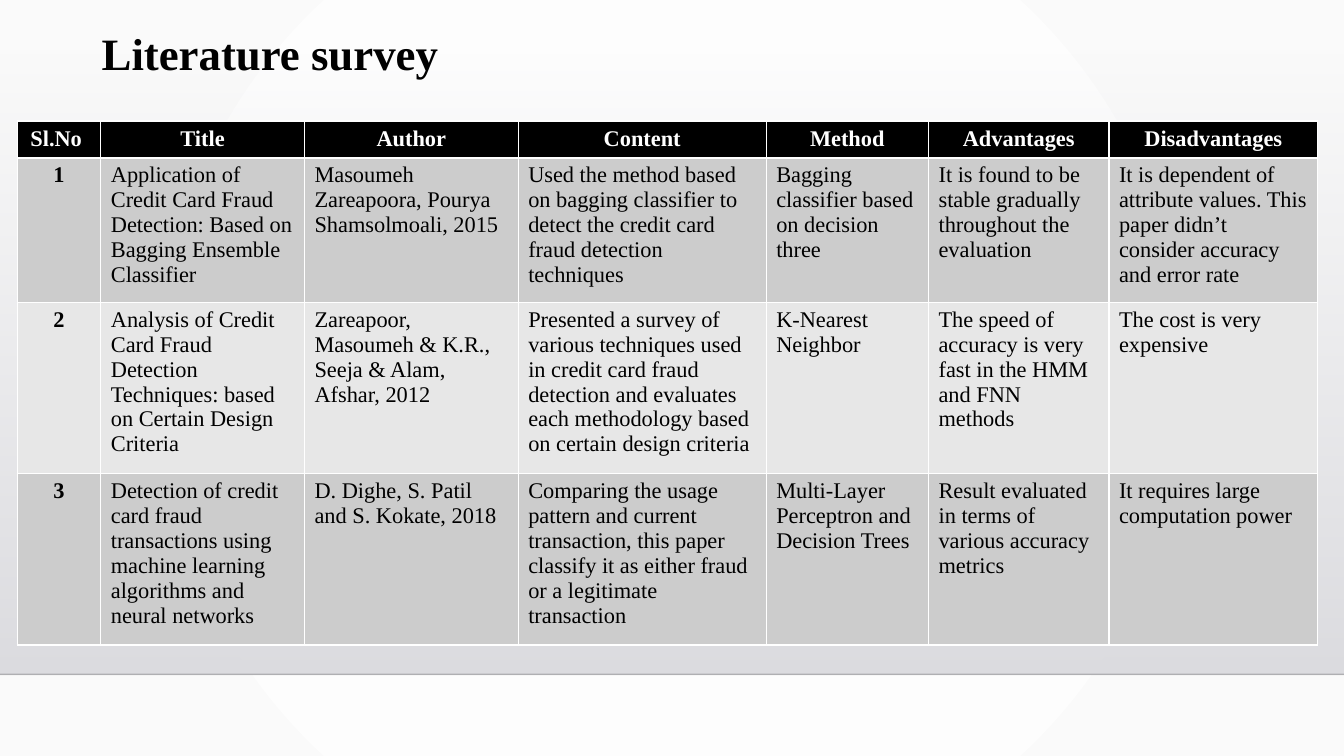
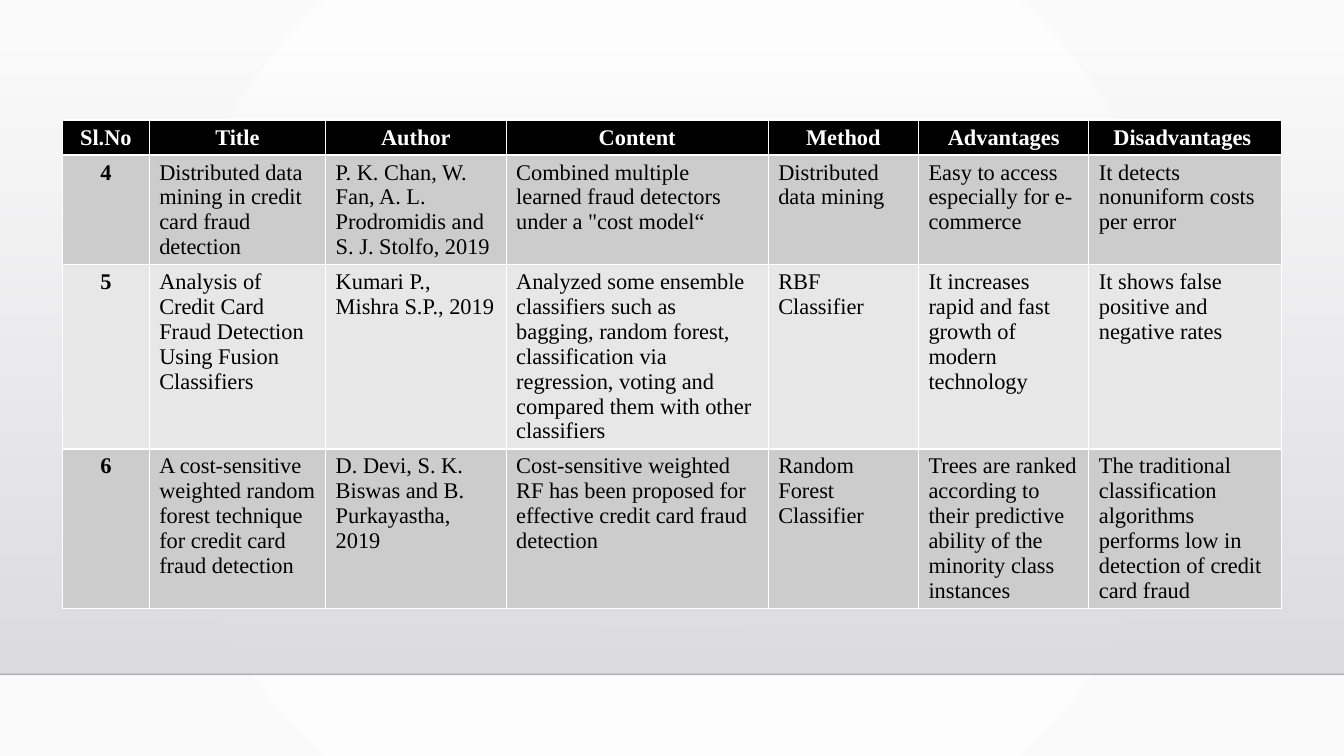
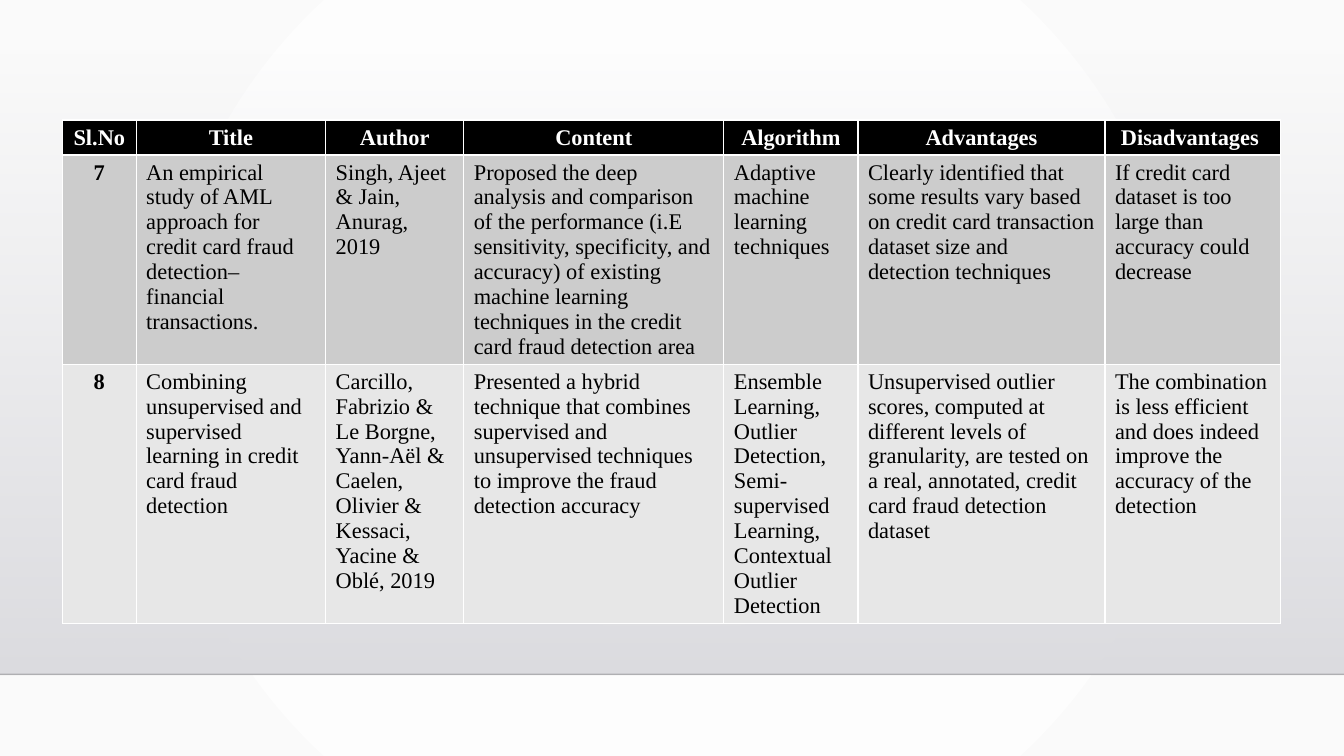
"""Build three literature survey slides on credit card fraud detection."""
from dataclasses import dataclass

from lxml.etree import SubElement
from pptx import Presentation
from pptx.dml.color import RGBColor
from pptx.enum.shapes import MSO_CONNECTOR, MSO_SHAPE
from pptx.enum.text import PP_ALIGN
from pptx.oxml import parse_xml
from pptx.oxml.ns import nsdecls, qn
from pptx.util import Inches, Pt

WIDTH, HEIGHT = 13.33, 7.5
FONT = "Times New Roman"
BLACK, WHITE, PAPER = "000000", "FFFFFF", "FAFAFA"
BAND_TOP, BAND_BOTTOM = "DCDCE0", "DEDEE2"
ROW_FILLS = ("CCCCCC", "E7E7E7")
FLOOR = 0.892
LINE_HEIGHT, CELL_PADDING = 0.247, 0.1


@dataclass(frozen=True)
class Survey:
    left: float
    top: float
    columns: tuple[float, ...]
    lines: tuple[int, ...]
    rows: tuple[tuple[str, ...], ...]
    title: str = ""


SURVEYS = (
    Survey(
        left=0.17,
        top=1.2,
        columns=(0.83, 2.02, 2.12, 2.46, 1.61, 1.79, 2.07),
        lines=(1, 5, 6, 6),
        title="Literature survey",
        rows=(
            ("Sl.No ", "Title", "Author", "Content", "Method", "Advantages", "Disadvantages"),
            (
                "1",
                "Application of Credit Card Fraud Detection: Based on Bagging Ensemble Classifier",
                "Masoumeh Zareapoora, Pourya Shamsolmoali, 2015",
                "Used the method based on bagging classifier to detect the credit card fraud "
                "detection techniques",
                "Bagging classifier based on decision three",
                "It is found to be stable gradually throughout the evaluation",
                "It is dependent of attribute values. This paper didn’t consider accuracy and "
                "error rate",
            ),
            (
                "2",
                "Analysis of Credit Card Fraud Detection Techniques: based on Certain Design "
                "Criteria",
                "Zareapoor, Masoumeh & K.R., Seeja & Alam, Afshar, 2012",
                "Presented a survey of various techniques used in credit card fraud detection "
                "and evaluates each methodology based on certain design criteria",
                "K-Nearest Neighbor",
                "The speed of accuracy is very fast in the HMM and FNN methods",
                "The cost is very expensive",
            ),
            (
                "3",
                "Detection of credit card fraud transactions using machine learning algorithms "
                "and neural networks",
                "D. Dighe, S. Patil and S. Kokate, 2018",
                "Comparing the usage pattern and current transaction, this paper classify it as "
                "either fraud or a legitimate transaction",
                "Multi-Layer Perceptron and Decision Trees",
                "Result evaluated in terms of various accuracy metrics",
                "It requires large computation power",
            ),
        ),
    ),
    Survey(
        left=0.62,
        top=1.19,
        columns=(0.86, 1.75, 1.79, 2.6, 1.49, 1.69, 1.91),
        lines=(1, 4, 7, 6),
        rows=(
            ("Sl.No", "Title", "Author", "Content", "Method", "Advantages", "Disadvantages "),
            (
                "4",
                "Distributed data mining in credit card fraud detection",
                "P. K. Chan, W. Fan, A. L. Prodromidis and S. J. Stolfo, 2019",
                'Combined multiple learned fraud detectors under a "cost model“',
                "Distributed data mining",
                "Easy to access especially for e-commerce",
                "It detects nonuniform costs per error",
            ),
            (
                "5",
                "Analysis of Credit Card Fraud Detection Using Fusion Classifiers",
                "Kumari P., Mishra S.P., 2019",
                "Analyzed some ensemble classifiers such as bagging, random forest, "
                "classification via regression, voting and compared them with other classifiers",
                "RBF Classifier",
                "It increases rapid and fast growth of modern technology",
                "It shows false positive and negative rates",
            ),
            (
                "6",
                "A cost-sensitive weighted random forest technique for credit card fraud "
                "detection",
                "D. Devi, S. K. Biswas and B. Purkayastha, 2019",
                "Cost-sensitive weighted RF has been proposed for effective credit card fraud "
                "detection",
                "Random Forest Classifier",
                "Trees are ranked according to their predictive ability of the minority class "
                "instances",
                "The traditional classification algorithms performs low in detection of credit "
                "card fraud",
            ),
        ),
    ),
    Survey(
        left=0.62,
        top=1.19,
        columns=(0.73, 1.88, 1.37, 2.58, 1.33, 2.45, 1.74),
        lines=(1, 8, 10),
        rows=(
            ("Sl.No", "Title", "Author", "Content", "Algorithm", "Advantages", "Disadvantages "),
            (
                "7",
                "An empirical study of AML approach for credit card fraud detection–financial "
                "transactions.",
                "Singh, Ajeet & Jain, Anurag, 2019",
                "Proposed the deep analysis and comparison of the performance (i.E sensitivity, "
                "specificity, and accuracy) of existing machine learning techniques in the "
                "credit card fraud detection area",
                "Adaptive machine learning techniques",
                "Clearly identified that some results vary based on credit card transaction "
                "dataset size and detection techniques",
                "If credit card dataset is too large than accuracy could decrease",
            ),
            (
                "8",
                "Combining unsupervised and supervised learning in credit card fraud detection",
                "Carcillo, Fabrizio & Le Borgne, Yann-Aël & Caelen, Olivier & Kessaci, Yacine & "
                "Oblé, 2019",
                "Presented a hybrid technique that combines supervised and unsupervised "
                "techniques to improve the fraud detection accuracy",
                "Ensemble Learning, Outlier Detection, Semi-supervised Learning, Contextual "
                "Outlier Detection",
                "Unsupervised outlier scores, computed at different levels of granularity, are "
                "tested on a real, annotated, credit card fraud detection dataset",
                "The combination is less efficient and does indeed improve the accuracy of the "
                "detection",
            ),
        ),
    ),
)


def rgb(value: str) -> RGBColor:
    return RGBColor.from_string(value)


def set_gradient(fill, start: str, end: str) -> None:
    fill.gradient()
    for stop, color in zip(fill.gradient_stops, (start, end)):
        stop.color.rgb = rgb(color)


def set_alpha(element, percent: int) -> None:
    color = next(element.iter(qn("a:srgbClr")))
    SubElement(color, qn("a:alpha")).set("val", str(percent * 1000))


def set_background(master) -> None:
    set_gradient(master.background.fill, WHITE, PAPER)
    gradient = next(master.element.iter(qn("a:gradFill")))
    gradient.replace(
        gradient.find(qn("a:lin")),
        parse_xml(
            f'<a:path {nsdecls("a")} path="circle">'
            '<a:fillToRect l="50000" t="50000" r="50000" b="50000"/></a:path>'
        ),
    )


def add_band(s) -> None:
    top, floor = 0.068 * HEIGHT, FLOOR * HEIGHT
    band = s.shapes.add_shape(
        MSO_SHAPE.RECTANGLE, 0, Inches(top), Inches(WIDTH), Inches(floor - top)
    )
    band.shadow.inherit = False
    band.line.fill.background()
    set_gradient(band.fill, BAND_TOP, BAND_BOTTOM)
    band.fill.gradient_angle = 270
    set_alpha(next(band.element.iter(qn("a:gradFill"))), 0)

    edge = s.shapes.add_connector(
        MSO_CONNECTOR.STRAIGHT, 0, Inches(floor), Inches(WIDTH), Inches(floor)
    )
    edge.line.width = Pt(1)
    edge.line.color.rgb = rgb("000001")
    set_alpha(edge.line._get_or_add_ln(), 20)
    SubElement(edge.element.spPr, qn("a:effectLst"))


def write(tf, text: str, size: int, color: str, bold: bool, centred: bool = False) -> None:
    tf.text = text
    p = tf.paragraphs[0]
    p.alignment = PP_ALIGN.CENTER if centred else PP_ALIGN.LEFT
    r = p.runs[0]
    r.font.name, r.font.size, r.font.bold = FONT, Pt(size), bold
    r.font.color.rgb = rgb(color)


def add_title(s, text: str) -> None:
    box = s.shapes.add_textbox(Inches(0.91), Inches(0.27), Inches(0.85 * WIDTH), Inches(1.14))
    tf = box.text_frame
    tf.word_wrap = True
    write(tf, text, 32, BLACK, True)
    tf.paragraphs[0].line_spacing = 0.9


def set_borders(cell) -> None:
    properties = cell._tc.get_or_add_tcPr()
    for index, side in enumerate("LRTB"):
        border = parse_xml(
            f'<a:ln{side} {nsdecls("a")} w="{Pt(1)}"><a:solidFill>'
            f'<a:srgbClr val="{WHITE}"/></a:solidFill></a:ln{side}>'
        )
        properties.insert(index, border)


def add_survey(s, survey: Survey) -> None:
    heights = [CELL_PADDING + LINE_HEIGHT * count for count in survey.lines]
    table = s.shapes.add_table(
        len(heights), len(survey.columns), Inches(survey.left), Inches(survey.top),
        Inches(sum(survey.columns)), Inches(sum(heights)),
    ).table
    for column, width in zip(table.columns, survey.columns):
        column.width = Inches(width)
    for i, (row, height, texts) in enumerate(zip(table.rows, heights, survey.rows)):
        row.height = Inches(height)
        header = i == 0
        for j, (cell, text) in enumerate(zip(row.cells, texts)):
            key = header or j == 0
            write(cell.text_frame, text, 16, WHITE if header else BLACK, key, key)
            cell.fill.solid()
            cell.fill.fore_color.rgb = rgb(BLACK if header else ROW_FILLS[(i - 1) % 2])
            set_borders(cell)


def main() -> None:
    prs = Presentation()
    prs.slide_width, prs.slide_height = Inches(WIDTH), Inches(HEIGHT)
    set_background(prs.slide_master)
    for survey in SURVEYS:
        s = prs.slides.add_slide(prs.slide_layouts[6])
        add_band(s)
        if survey.title:
            add_title(s, survey.title)
        add_survey(s, survey)
    prs.save("out.pptx")


if __name__ == "__main__":
    main()
